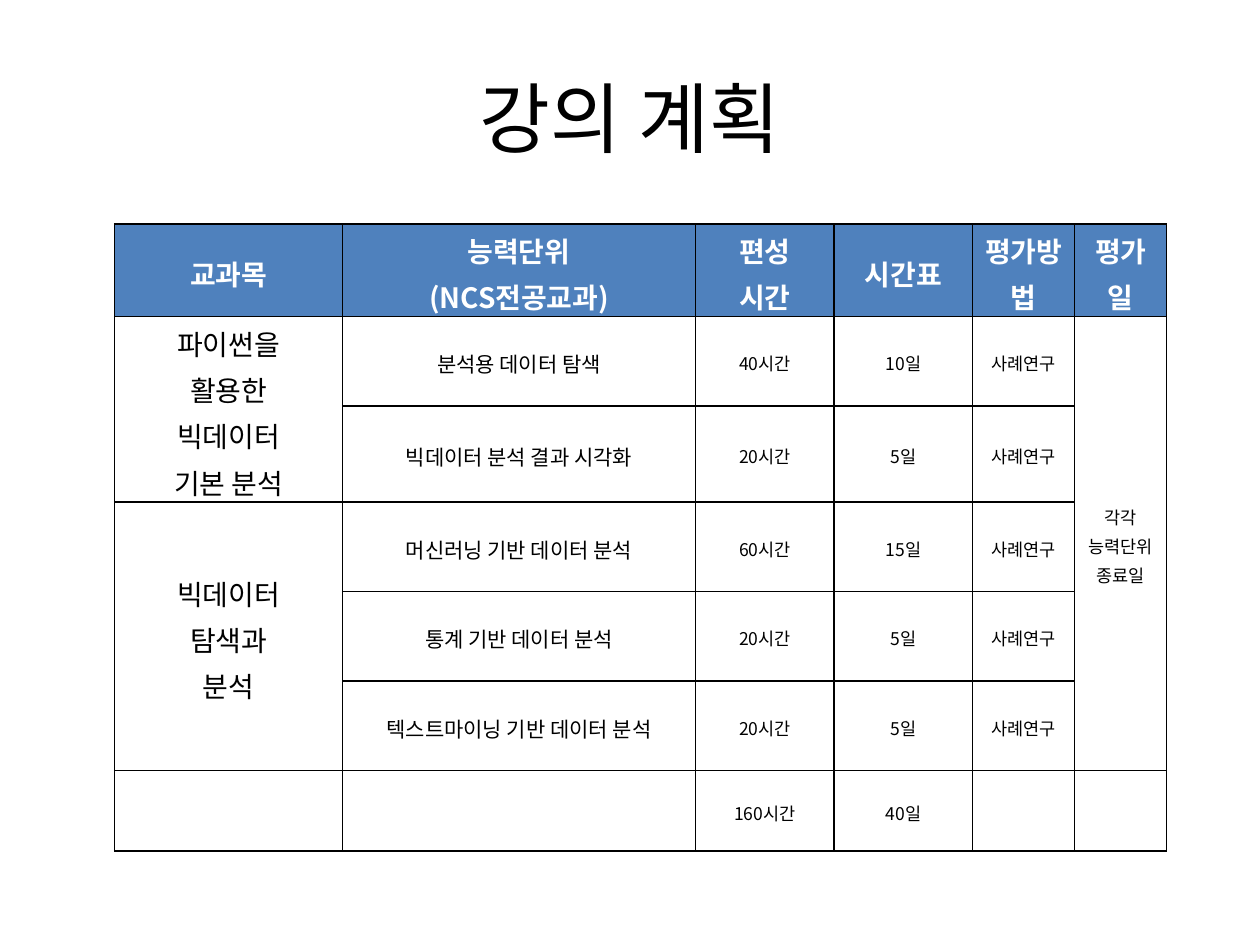
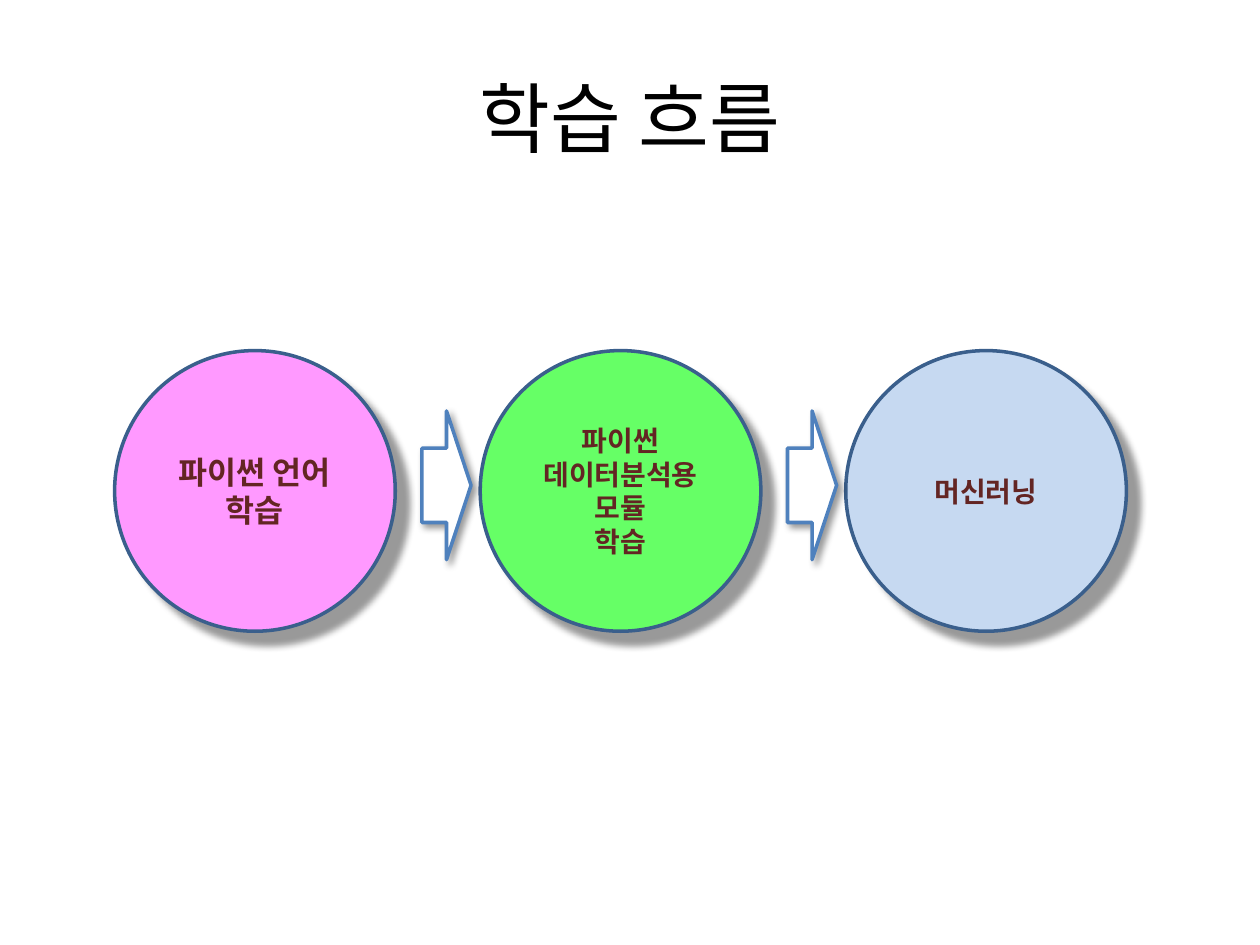
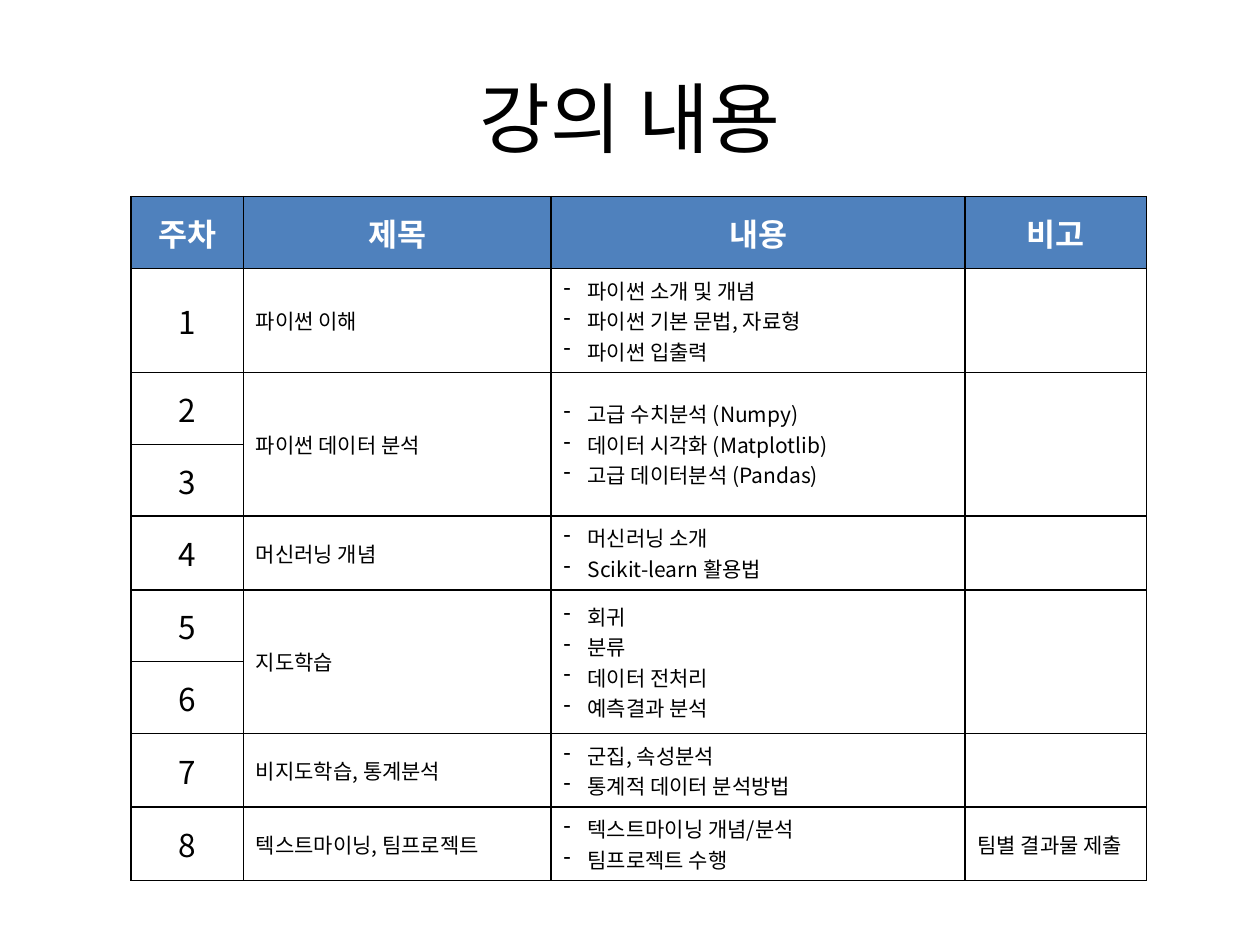
"""Builds a three-slide course outline: plan, learning flow and weekly contents."""
from dataclasses import dataclass

from lxml import etree
from pptx import Presentation
from pptx import util as u
from pptx.dml.color import RGBColor
from pptx.enum import shapes, text
from pptx.oxml.ns import qn


@dataclass(frozen=True)
class Theme:
    """Colours, font and type sizes shared by the slides."""
    font: str = "Noto Sans CJK KR"
    ink: str = "000000"
    paper: str = "FFFFFF"
    accent: str = "4F81BD"
    outline: str = "3A5F8C"
    label: str = "632523"
    steps: tuple = ("FF99FF", "66FF66", "C6D9F1")
    title: int = 44
    large: int = 18
    medium: int = 16
    body: int = 12
    small: int = 10


@dataclass(frozen=True)
class Box:
    """A region in EMU."""
    left: int
    top: int
    width: int
    height: int


@dataclass(frozen=True)
class Column:
    """Relative width and body text style of a table column."""
    width: float
    size: int
    align: int = text.PP_ALIGN.CENTER
    bullet: str = ""


@dataclass(frozen=True)
class Grid:
    """Layout rules of one table."""
    columns: tuple
    rows: tuple
    header_size: int
    side: float = 0.1
    edge: float = 0.05
    spacing: float = 1.0


THEME = Theme()
CENTER, LEFT = text.PP_ALIGN.CENTER, text.PP_ALIGN.LEFT


def region(deck, left, top, width, height):
    """Turn shares of the slide size into a box."""
    across, down = deck.slide_width, deck.slide_height
    return Box(int(left * across), int(top * down), int(width * across), int(height * down))


def place(shape, box):
    """Move and size a shape to a box."""
    shape.left, shape.top, shape.width, shape.height = box.left, box.top, box.width, box.height


def style(para, size, color, bold=False, align=CENTER):
    """Format a whole paragraph, for Latin and Korean letters alike."""
    para.alignment = align
    font = para.font
    font.name, font.size, font.bold = THEME.font, u.Pt(size), bold
    font.color.rgb = RGBColor.from_string(color)
    defaults = para._p.get_or_add_pPr().find(qn("a:defRPr"))
    etree.SubElement(defaults, qn("a:ea"), typeface=THEME.font)


def write(frame, lines, size, color, bold=False, align=CENTER):
    """Write one styled paragraph per line and return the paragraphs."""
    frame.text = lines
    for para in frame.paragraphs:
        style(para, size, color, bold, align)
    return frame.paragraphs


def add_bullet(para, mark):
    """Give a paragraph a hanging bullet mark."""
    props = para._p.get_or_add_pPr()
    indent = u.Inches(0.19)
    props.set("marL", str(indent))
    props.set("indent", str(-indent))
    bullet = etree.Element(qn("a:buChar"), char=mark)
    props.find(qn("a:defRPr")).addprevious(bullet)


def add_border(cell):
    """Draw a thin line on all four sides of a cell."""
    props = cell._tc.get_or_add_tcPr()
    for side in ("lnL", "lnR", "lnT", "lnB"):
        line = etree.SubElement(props, qn(f"a:{side}"), w=str(u.Pt(1)))
        fill = etree.SubElement(line, qn("a:solidFill"))
        etree.SubElement(fill, qn("a:srgbClr"), val=THEME.ink)


def add_shadow(shape, distance):
    """Cast a soft shadow towards the lower right."""
    shape.shadow.inherit = False
    effects = shape._element.spPr.find(qn("a:effectLst"))
    shadow = etree.SubElement(effects, qn("a:outerShdw"), blurRad=str(u.Pt(4)),
                              dist=str(u.Pt(distance)), dir=str(45 * 60000),
                              algn="tl", rotWithShape="0")
    color = etree.SubElement(shadow, qn("a:srgbClr"), val=THEME.ink)
    etree.SubElement(color, qn("a:alpha"), val="40000")


def add_page(deck, title):
    """Add a title-only slide and set its title."""
    page = deck.slides.add_slide(deck.slide_layouts[5])
    place(page.shapes.title, region(deck, 0.05, 0.04, 0.9, 1 / 6))
    page.shapes.title.text_frame.vertical_anchor = text.MSO_ANCHOR.MIDDLE
    write(page.shapes.title.text_frame, title, THEME.title, THEME.ink)
    return page


def fill_cell(cell, lines, grid, column, header):
    """Format one table cell and write its lines."""
    add_border(cell)
    cell.vertical_anchor = text.MSO_ANCHOR.MIDDLE
    cell.margin_left = cell.margin_right = u.Inches(grid.side)
    cell.margin_top = cell.margin_bottom = u.Inches(grid.edge)
    if header:
        cell.fill.solid()
        cell.fill.fore_color.rgb = RGBColor.from_string(THEME.accent)
    else:
        cell.fill.background()
    if not lines:
        return
    size = grid.header_size if header else column.size
    color = THEME.paper if header else THEME.ink
    align = CENTER if header else column.align
    for para in write(cell.text_frame, lines, size, color, header, align):
        para.line_spacing = grid.spacing
        if column.bullet and not header:
            add_bullet(para, column.bullet)


def add_grid(page, box, grid, rows):
    """Add a table in which None joins a cell to the one above."""
    table = page.shapes.add_table(len(rows), len(grid.columns), box.left, box.top,
                                  box.width, box.height).table
    table.horz_banding = False
    total_width = sum(column.width for column in grid.columns)
    for part, column in zip(table.columns, grid.columns):
        part.width = int(box.width * column.width / total_width)
    for part, height in zip(table.rows, grid.rows):
        part.height = int(box.height * height / sum(grid.rows))
    for c, column in enumerate(grid.columns):
        for r, row in enumerate(rows):
            fill_cell(table.cell(r, c), row[c], grid, column, r == 0)
        starts = [r for r, row in enumerate(rows) if row[c] is not None]
        for start, after in zip(starts, starts[1:] + [len(rows)]):
            if after - start > 1:
                table.cell(start, c).merge(table.cell(after - 1, c))


def add_figure(page, kind, box, fill, line, distance):
    """Add a filled, outlined shape with a shadow."""
    shape = page.shapes.add_shape(kind, box.left, box.top, box.width, box.height)
    shape.fill.solid()
    shape.fill.fore_color.rgb = RGBColor.from_string(fill)
    shape.line.color.rgb = RGBColor.from_string(line)
    shape.line.width = u.Pt(2)
    add_shadow(shape, distance)
    return shape


def add_flow(page, box, steps):
    """Spread circles evenly over a box, with an arrow in each gap."""
    size = box.height
    pitch = (box.width - size) // (len(steps) - 1)
    for i, ((label, points), fill) in enumerate(zip(steps, THEME.steps)):
        spot = Box(box.left + i * pitch, box.top, size, size)
        circle = add_figure(page, shapes.MSO_SHAPE.OVAL, spot, fill, THEME.outline, 10)
        circle.text_frame.vertical_anchor = text.MSO_ANCHOR.MIDDLE
        write(circle.text_frame, label, points, THEME.label, True)
    for i in range(len(steps) - 1):
        spot = Box(int(box.left + i * pitch + 1.095 * size), int(box.top + 0.215 * size),
                   int(0.175 * size), int(0.53 * size))
        add_figure(page, shapes.MSO_SHAPE.RIGHT_ARROW, spot, THEME.paper, THEME.accent, 3)


PLAN_GRID = Grid(
    columns=(Column(1.81, THEME.medium), Column(2.8, THEME.body), Column(1.1, THEME.small),
             Column(1.1, THEME.small), Column(0.81, THEME.small), Column(0.73, THEME.small)),
    rows=(0.71, 0.71, 0.75, 0.71, 0.71, 0.71, 0.64),
    header_size=THEME.medium, side=0.07, edge=0, spacing=1.15)
PLAN = [
    ("교과목", "능력단위\n(NCS전공교과)", "편성\n시간", "시간표", "평가방법", "평가일"),
    ("파이썬을\n활용한\n빅데이터\n기본 분석", "분석용 데이터 탐색", "40시간", "10일", "사례연구",
     "각각\n능력단위\n종료일"),
    (None, "빅데이터 분석 결과 시각화", "20시간", "5일", "사례연구", None),
    ("빅데이터\n탐색과\n분석", "머신러닝 기반 데이터 분석", "60시간", "15일", "사례연구", None),
    (None, "통계 기반 데이터 분석", "20시간", "5일", "사례연구", None),
    (None, "텍스트마이닝 기반 데이터 분석", "20시간", "5일", "사례연구", None),
    ("", "", "160시간", "40일", "", ""),
]
FLOW = [
    ("파이썬 언어\n학습", THEME.large),
    ("파이썬\n데이터분석용\n모듈\n학습", THEME.medium),
    ("머신러닝", THEME.medium),
]
WEEKS_GRID = Grid(
    columns=(Column(0.89, THEME.large), Column(2.44, THEME.body, LEFT),
             Column(3.28, THEME.body, LEFT, "-"), Column(1.44, THEME.body, LEFT)),
    rows=(1,) * 9, header_size=THEME.large)
WEEKS = [
    ("주차", "제목", "내용", "비고"),
    ("1", "파이썬 이해", "파이썬 소개 및 개념\n파이썬 기본 문법, 자료형\n파이썬 입출력", ""),
    ("2", "파이썬 데이터 분석",
     "고급 수치분석 (Numpy)\n데이터 시각화 (Matplotlib)\n고급 데이터분석 (Pandas)", ""),
    ("3", None, None, None),
    ("4", "머신러닝 개념", "머신러닝 소개\nScikit-learn 활용법", ""),
    ("5", "지도학습", "회귀\n분류\n데이터 전처리\n예측결과 분석", ""),
    ("6", None, None, None),
    ("7", "비지도학습, 통계분석", "군집, 속성분석\n통계적 데이터 분석방법", ""),
    ("8", "텍스트마이닝, 팀프로젝트", "텍스트마이닝 개념/분석\n팀프로젝트 수행", "팀별 결과물 제출"),
]


def main():
    """Build and save the deck."""
    deck = Presentation()
    deck.slide_width, deck.slide_height = u.Inches(10), u.Inches(7.5)
    add_grid(add_page(deck, "강의 계획"), region(deck, 0.091, 0.237, 0.835, 0.659),
             PLAN_GRID, PLAN)
    add_flow(add_page(deck, "학습 흐름"), region(deck, 0.091, 0.371, 0.803, 0.297), FLOW)
    add_grid(add_page(deck, "강의 내용"), region(deck, 0.104, 0.208, 0.806, 0.685),
             WEEKS_GRID, WEEKS)
    deck.save("out.pptx")


main()
